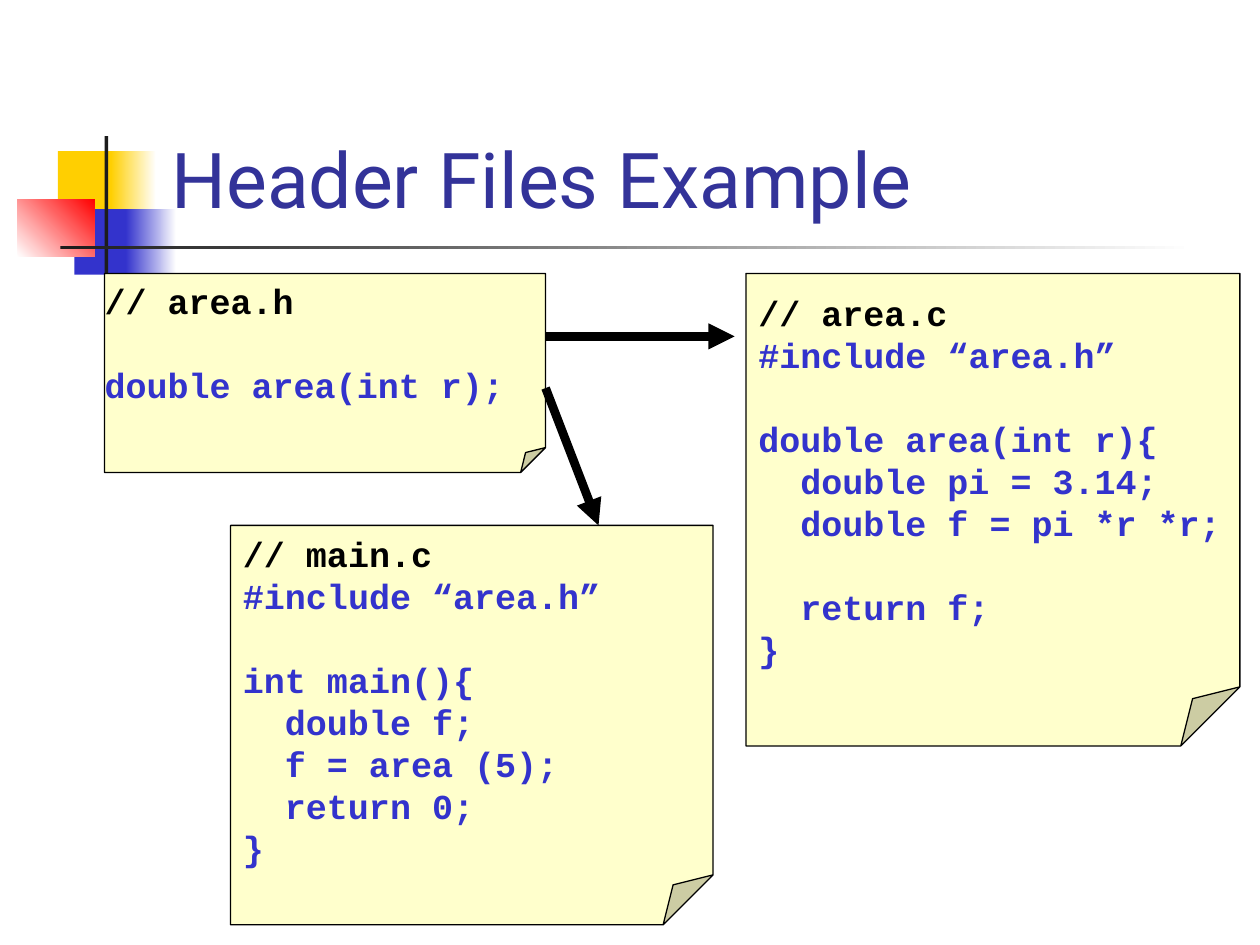
from lxml import etree
from pptx import Presentation
from pptx.dml.color import RGBColor
from pptx.enum.shapes import MSO_CONNECTOR as CONN, MSO_SHAPE as SHAPE
from pptx.enum.text import MSO_ANCHOR as ANCHOR, MSO_AUTO_SIZE as AUTO, PP_ALIGN as ALIGN
from pptx.oxml.ns import qn
from pptx.util import Inches, Pt

COLORS = {
    "yellow": "FFCF01", "blue": "3333CC", "red": "FF0000", "white": "FFFFFF",
    "dark": "1C1C1C", "title": "333399", "note": "FFFFCC", "black": "000000",
}
CODE_SIZE = 20
LINE_HEIGHT = 24
CHAR_WIDTH = 12


def rgb(name):
    return RGBColor.from_string(COLORS[name])


def format_object(obj, values):
    for name, value in values.items():
        setattr(obj, name, value)


prs = Presentation()
prs.slide_width, prs.slide_height = Inches(10), Inches(7.5)
s = prs.slides.add_slide(prs.slide_layouts[5])

decorations = [
    (0.46, 1.2, 0.48, 0.52, ["yellow"], 0),
    (0.88, 1.2, 0.36, 0.52, ["yellow", "white"], 0),
    (0.59, 1.66, 0.46, 0.52, ["blue"], 0),
    (1, 1.66, 0.4, 0.52, ["blue", "white"], 0),
    (0.14, 1.58, 0.61, 0.46, ["white", "red"], 45),
    (0.83, 1.08, 0.03, 1.15, ["dark"], 0),
    (0.48, 1.95, 9, 0.03, ["dark", "white"], 0),
]
for x, y, w, h, fills, angle in decorations:
    sp = s.shapes.add_shape(SHAPE.RECTANGLE, Inches(x), Inches(y), Inches(w), Inches(h))
    sp.shadow.inherit = False
    sp.line.fill.background()
    if len(fills) == 1:
        sp.fill.solid()
        sp.fill.fore_color.rgb = rgb(fills[0])
    else:
        sp.fill.gradient()
        sp.fill.gradient_angle = angle
        for stop, name in zip(sp.fill.gradient_stops, fills):
            stop.color.rgb = rgb(name)

title = s.shapes.title
format_object(title, {"left": Inches(1.26), "top": Inches(0.23),
                      "width": Inches(8.52), "height": Inches(1.6)})
tf = title.text_frame
tf.text = "Header Files Example"
format_object(tf, {"vertical_anchor": ANCHOR.BOTTOM, "auto_size": AUTO.NONE, "word_wrap": True})
p = tf.paragraphs[0]
p.alignment = ALIGN.LEFT
format_object(p.runs[0].font, {"name": "Roboto", "size": Pt(44)})
p.runs[0].font.color.rgb = rgb("title")

notes = [
    (0.83, 2.17, 3.5, 1.58, ANCHOR.TOP, 0, [
        "// area.h", "", "double area(int r);"]),
    (5.92, 2.17, 3.92, 3.75, ANCHOR.MIDDLE, 0.1, [
        "// area.c", "#include “area.h”", "", "double area(int r){",
        "  double pi = 3.14;", "  double f = pi *r *r;", "", "  return f;", "}"]),
    (1.83, 4.17, 3.83, 3.17, ANCHOR.MIDDLE, 0.1, [
        "// main.c", "#include “area.h”", "", "int main(){",
        "  double f;", "  f = area (5);", "  return 0;", "}"]),
]
for x, y, w, h, anchor, inset, lines in notes:
    sp = s.shapes.add_shape(SHAPE.FOLDED_CORNER, Inches(x), Inches(y), Inches(w), Inches(h))
    guides = sp._element.spPr.find(qn("a:prstGeom")).get_or_add_avLst()
    etree.SubElement(guides, qn("a:gd"), name="adj", fmla="val 12500")
    sp.shadow.inherit = False
    sp.fill.solid()
    sp.fill.fore_color.rgb = rgb("note")
    sp.line.color.rgb = rgb("black")
    sp.line.width = Pt(0.75)
    tf = sp.text_frame
    format_object(tf, {"word_wrap": False, "vertical_anchor": anchor,
                       "margin_left": Inches(inset), "margin_right": Inches(0.1),
                       "margin_top": Inches(0.05), "margin_bottom": Inches(0.05)})
    for i, line in enumerate(lines):
        code = line.strip()
        if not code:
            continue
        p = tf.add_paragraph() if i else tf.paragraphs[0]
        p.alignment = ALIGN.LEFT
        if i and not lines[i - 1]:
            p.space_before = Pt(LINE_HEIGHT)
        indent = Pt(CHAR_WIDTH * (len(line) - len(code)))
        p._p.get_or_add_pPr().set("marL", str(int(indent)))
        r = p.add_run()
        r.text = code
        format_object(r.font, {"name": "Courier New", "size": Pt(CODE_SIZE), "bold": True})
        r.font.color.rgb = rgb("black" if code.startswith("//") else "blue")

arrows = [(4.33, 2.67, 5.83, 2.67), (4.33, 3.08, 4.75, 4.17)]
for ends in arrows:
    arrow = s.shapes.add_connector(CONN.STRAIGHT, *[Inches(v) for v in ends])
    arrow.line.color.rgb = rgb("black")
    arrow.line.width = Pt(5)
    etree.SubElement(arrow.line._get_or_add_ln(), qn("a:tailEnd"), type="triangle")
    etree.SubElement(arrow._element.spPr, qn("a:effectLst"))

prs.save("out.pptx")
